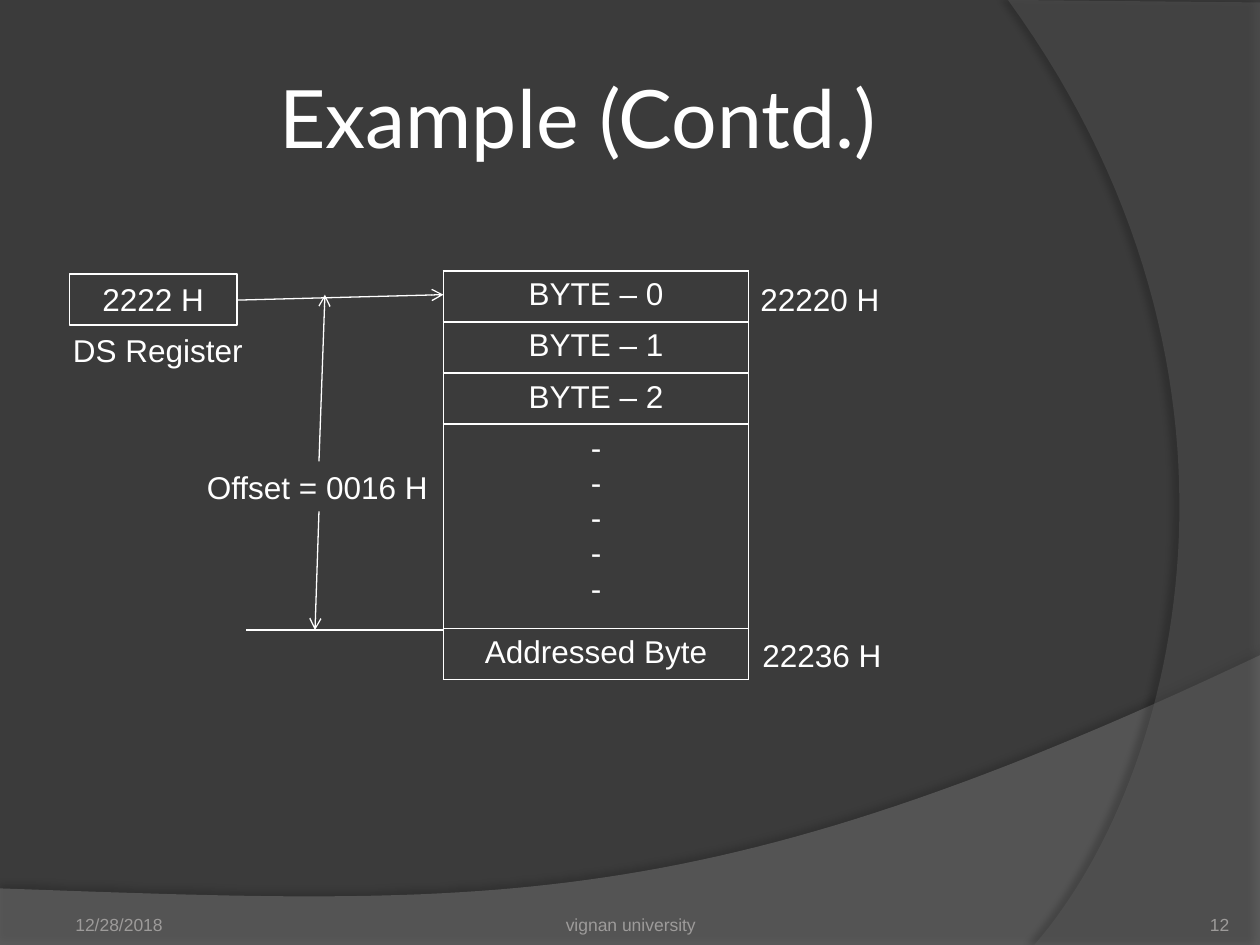
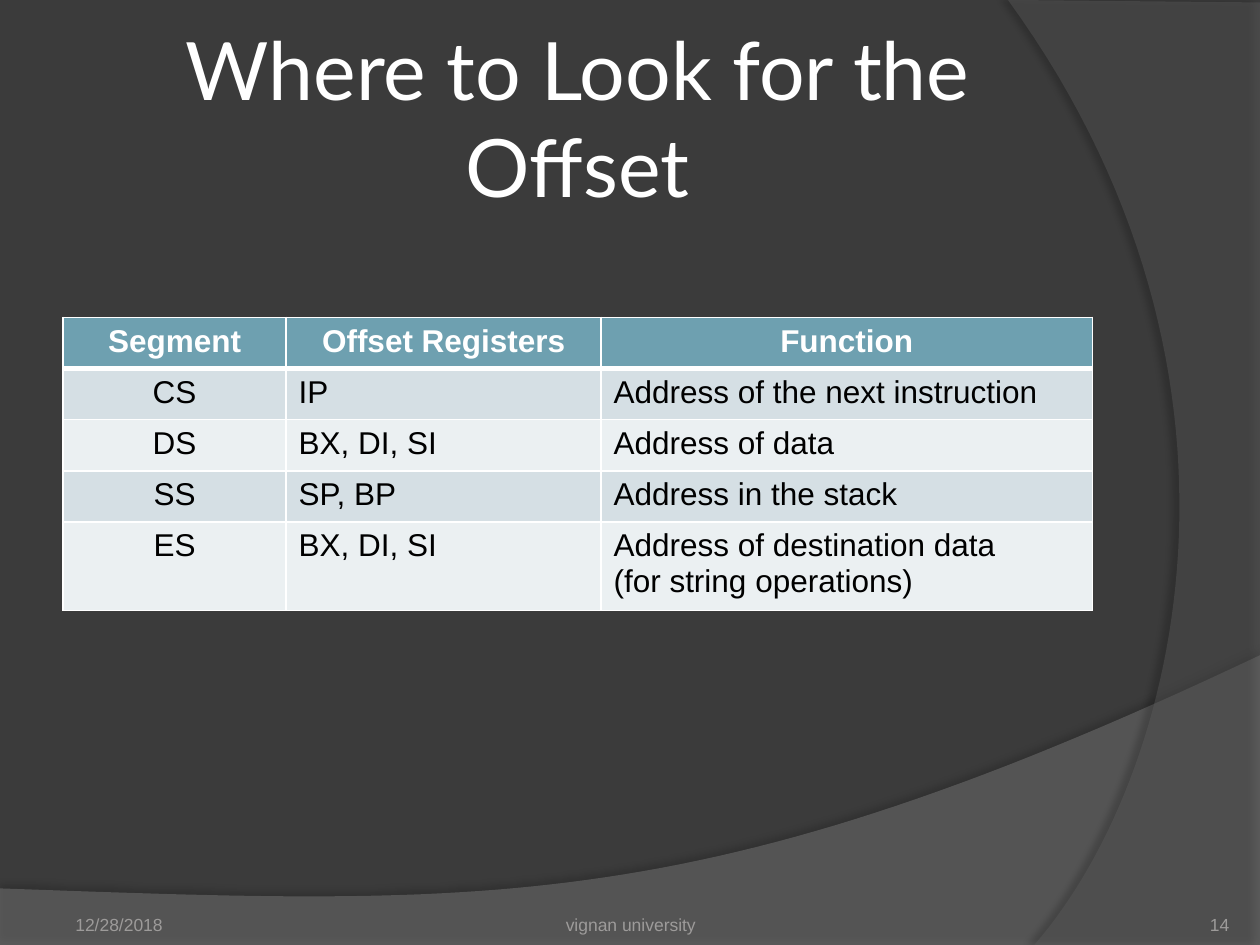
from dataclasses import dataclass

from lxml.etree import SubElement
from pptx import Presentation
from pptx.dml.color import RGBColor
from pptx.enum.shapes import MSO_CONNECTOR, MSO_SHAPE
from pptx.enum.text import MSO_ANCHOR, PP_ALIGN
from pptx.oxml.ns import qn
from pptx.util import Cm, Pt

HUES = {
    "back": "3B3B3B", "sweep": "7F7F7F", "arc": "5E5E5E", "shade": "000000",
    "white": "FFFFFF", "ink": "000000", "foot": "9D9B9A",
    "head": "6EA0B0", "odd": "D5DFE4", "even": "EBF0F2",
}
WIDE, HIGH = 25.4, 19.05
LEFT, MID, RIGHT = PP_ALIGN.LEFT, PP_ALIGN.CENTER, PP_ALIGN.RIGHT


@dataclass
class Label:
    text: str
    x: float
    y: float
    w: float
    h: float = 1.03
    size: int = 18
    font: str = "Arial"
    hue: str = "white"
    align: PP_ALIGN = LEFT
    anchor: MSO_ANCHOR = MSO_ANCHOR.TOP
    wrap: bool = False
    side: float = 0.25
    edge: float = 0.13
    boxed: bool = False


@dataclass
class Line:
    x1: float
    y1: float
    x2: float
    y2: float
    arrow: bool = True


@dataclass
class Band:
    """Corners in cm; the curve runs from the last corner over two controls."""
    corners: list
    curve: list
    hue: str
    solid: int
    shade: int
    blur: float
    dist: float
    angle: int


BANDS = [
    Band([(0, 17.91), (0, HIGH), (WIDE, HIGH), (WIDE, 13.21)],
         [(14.2, 18.52), (9.93, 18.26), (0, 17.91)], "sweep", 45, 35, 4, 3.5, 270),
    Band([(WIDE, 0.05), (WIDE, HIGH), (20.85, HIGH)],
         [(23.75, 15.72), (25.86, 7.62), (20.32, 0)], "arc", 40, 45, 4, 4, 180),
]


def paint(hue: str) -> RGBColor:
    return RGBColor.from_string(HUES[hue])


def bezier(start: tuple, curve: list, steps: int = 60) -> list:
    pts = [start, *curve]

    def spot(t: float) -> tuple:
        u = 1 - t
        mix = (u ** 3, 3 * u * u * t, 3 * u * t * t, t ** 3)
        return tuple(sum(m * p[k] for m, p in zip(mix, pts)) for k in (0, 1))

    return [spot(i / steps) for i in range(1, steps + 1)]


def add_alpha(node, solid: int) -> None:
    SubElement(node, qn("a:alpha"), val=str(solid * 1000))


def draw_band(slide, band: Band) -> None:
    pts = band.corners + bezier(band.corners[-1], band.curve)
    pts = [(Cm(x), Cm(y)) for x, y in pts]
    pen = slide.shapes.build_freeform(*pts[0], scale=1.0)
    pen.add_line_segments(pts[1:], close=True)
    shape = pen.convert_to_shape()
    shape.fill.solid()
    shape.fill.fore_color.rgb = paint(band.hue)
    shape.line.fill.background()
    shape.shadow.inherit = False
    props = shape._element.spPr
    add_alpha(props.find(qn("a:solidFill"))[0], band.solid)
    glow = SubElement(props.find(qn("a:effectLst")), qn("a:outerShdw"),
                      blurRad=str(Pt(band.blur)), dist=str(Pt(band.dist)),
                      dir=str(band.angle * 60000), algn="ctr", rotWithShape="0")
    add_alpha(SubElement(glow, qn("a:srgbClr"), val=HUES["shade"]), band.shade)


def style(frame, size: int, font: str, hue: str, align: PP_ALIGN, bold: bool = False) -> None:
    for para in frame.paragraphs:
        para.alignment = align
        for run in para.runs:
            run.font.size = Pt(size)
            run.font.name = font
            run.font.bold = bold
            run.font.color.rgb = paint(hue)


def draw_label(slide, item: Label) -> None:
    area = [Cm(v) for v in (item.x, item.y, item.w, item.h)]
    if item.boxed:
        shape = slide.shapes.add_shape(MSO_SHAPE.RECTANGLE, *area)
        shape.shadow.inherit = False
        shape.fill.background()
        shape.line.color.rgb = paint("white")
        shape.line.width = Pt(1)
    else:
        shape = slide.shapes.add_textbox(*area)
    frame = shape.text_frame
    frame.text = item.text
    frame.word_wrap = item.wrap
    frame.vertical_anchor = item.anchor
    frame.margin_left = frame.margin_right = Cm(item.side)
    frame.margin_top = frame.margin_bottom = Cm(item.edge)
    style(frame, item.size, item.font, item.hue, item.align)


def draw_line(slide, item: Line) -> None:
    ends = [Cm(v) for v in (item.x1, item.y1, item.x2, item.y2)]
    link = slide.shapes.add_connector(MSO_CONNECTOR.STRAIGHT, *ends)
    link.line.color.rgb = paint("white")
    link.line.width = Pt(0.75)
    if item.arrow:
        SubElement(link.line._get_or_add_ln(), qn("a:tailEnd"), type="arrow")
    SubElement(link._element.spPr, qn("a:effectLst"))


def add_edge(cell, side: str, width: float) -> None:
    edge = SubElement(cell._tc.get_or_add_tcPr(), qn(f"a:{side}"), w=str(Pt(width)))
    fill = SubElement(edge, qn("a:solidFill"))
    SubElement(fill, qn("a:srgbClr"), val=HUES["white"])


def draw_table(slide, x: float, y: float, cols: list, rows: list, texts: list,
               headed: bool) -> None:
    area = [Cm(v) for v in (x, y, sum(cols), sum(rows))]
    table = slide.shapes.add_table(len(rows), len(cols), *area).table
    table.first_row = headed
    table.horz_banding = False
    for col, width in zip(table.columns, cols):
        col.width = Cm(width)
    for r, (row, height) in enumerate(zip(table.rows, rows)):
        row.height = Cm(height)
        top = headed and r == 0
        for c, cell in enumerate(row.cells):
            cell.text_frame.text = texts[r][c]
            cell.margin_left = cell.margin_right = Cm(0.25)
            cell.margin_top = cell.margin_bottom = Cm(0.13)
            for side in ("lnL", "lnR", "lnT", "lnB"):
                thick = (top and side == "lnB") or (headed and r == 1 and side == "lnT")
                add_edge(cell, side, 3 if thick else 1)
            if headed:
                cell.fill.solid()
                cell.fill.fore_color.rgb = paint("head" if top else "odd" if r % 2 else "even")
            else:
                cell.fill.background()
            style(cell.text_frame, 18, "Arial", "ink" if headed and not top else "white",
                  MID if top or c == 0 else LEFT, top)


def start_slide(deck, title: str, page: int):
    """Background, bands, title and footer that every slide shares."""
    slide = deck.slides.add_slide(deck.slide_layouts[6])
    slide.background.fill.solid()
    slide.background.fill.fore_color.rgb = paint("back")
    for band in BANDS:
        draw_band(slide, band)
    draw_label(slide, Label(title, 1.27, 0.76, 20.75, 3.18, 46, "Lato", align=MID,
                            anchor=MSO_ANCHOR.MIDDLE, wrap=True, side=0.13))
    for text, x, width, align, side in (
            ("12/28/2018", 1.27, 5.92, LEFT, 0.25),
            ("vignan university", 8.69, 8.05, MID, 0),
            (str(page), 22.66, 2.12, RIGHT, 0)):
        draw_label(slide, Label(text, x, 17.83, width, 1.02, 10, hue="foot", align=align,
                                anchor=MSO_ANCHOR.BOTTOM, wrap=True, side=side, edge=0))
    return slide


def draw_memory(deck) -> None:
    slide = start_slide(deck, "Example (Contd.)", 12)
    # Memory column
    texts = [[f"BYTE – {n}"] for n in range(3)]
    texts += [["\n".join("-" * 5)], ["Addressed Byte"]]
    draw_table(slide, 8.94, 5.46, [6.15], [1.03, 1.03, 1.03, 4.12, 1.03], texts, False)
    # Register, addresses and offset
    for item in (
            Label("2222 H", 1.4, 5.52, 3.38, align=MID, boxed=True),
            Label("DS Register", 1.2, 6.55, 3.96, align=MID),
            Label("22220 H", 15.08, 5.52, 2.95),
            Label("Offset = 0016 H", 3.92, 9.3, 5),
            Label("22236 H", 15.12, 12.7, 2.95)):
        draw_label(slide, item)
    # Pointers and the base line
    for item in (
            Line(4.78, 6.05, 8.94, 5.94),
            Line(6.43, 9.3, 6.55, 5.94),
            Line(6.43, 10.31, 6.35, 12.7),
            Line(8.94, 12.7, 4.95, 12.7, arrow=False)):
        draw_line(slide, item)


def draw_offsets(deck) -> None:
    slide = start_slide(deck, "Where to Look for the Offset", 14)
    texts = [
        ["Segment", "Offset Registers", "Function"],
        ["CS", "IP", "Address of the next instruction"],
        ["DS", "BX, DI, SI", "Address of data"],
        ["SS", "SP, BP", "Address in the stack"],
        ["ES", "BX, DI, SI", "Address of destination data\n(for string operations)"],
    ]
    draw_table(slide, 1.27, 6.4, [4.5, 6.35, 9.9], [1.03] * 4 + [1.78], texts, True)


def main() -> None:
    deck = Presentation()
    deck.slide_width, deck.slide_height = Cm(WIDE), Cm(HIGH)
    draw_memory(deck)
    draw_offsets(deck)
    deck.save("out.pptx")


if __name__ == "__main__":
    main()
